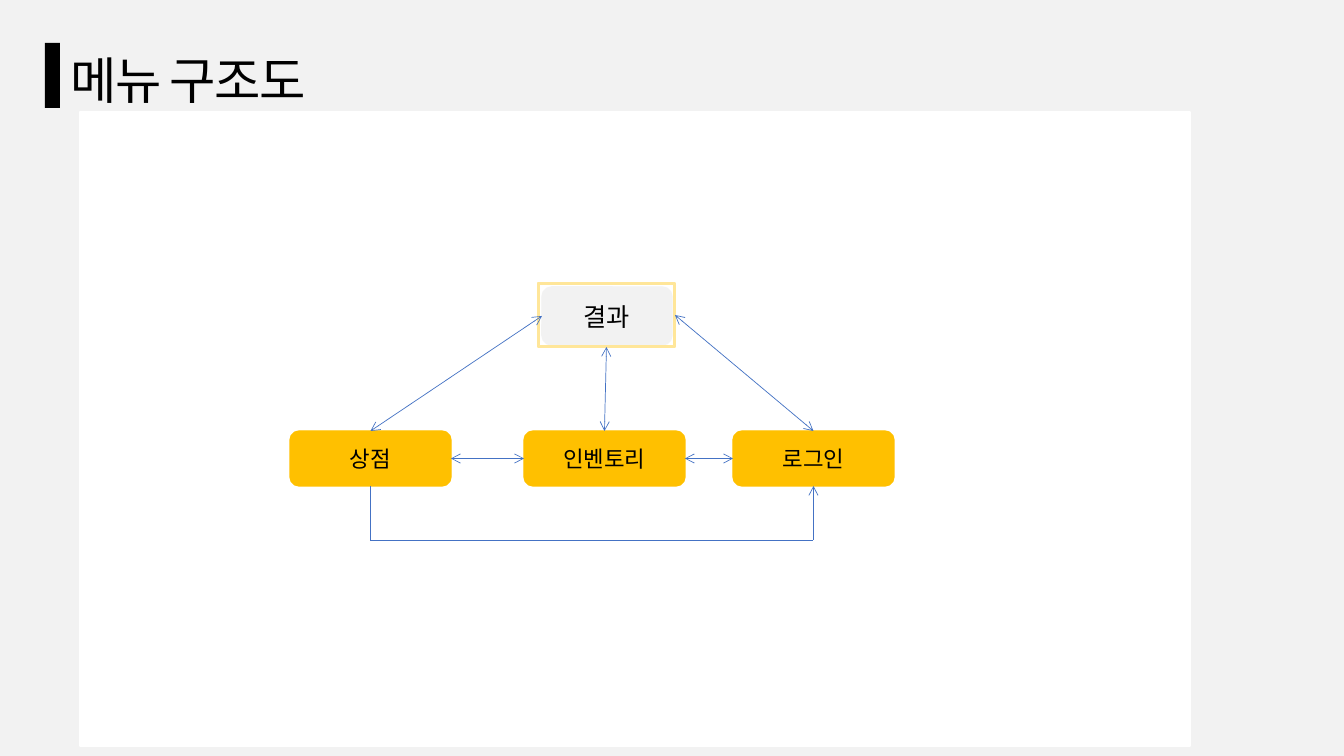
from itertools import pairwise

from lxml import etree
from pptx import Presentation
from pptx.dml.color import RGBColor
from pptx.enum.shapes import MSO_CONNECTOR, MSO_SHAPE
from pptx.enum.text import MSO_ANCHOR, MSO_AUTO_SIZE, PP_ALIGN
from pptx.oxml.ns import qn
from pptx.util import Pt

PANEL, BUTTON = MSO_SHAPE.FLOWCHART_PROCESS, MSO_SHAPE.FLOWCHART_ALTERNATE_PROCESS
ROUNDED, FRAME, BAR = MSO_SHAPE.ROUNDED_RECTANGLE, MSO_SHAPE.FRAME, MSO_SHAPE.RECTANGLE
STRAIGHT = MSO_CONNECTOR.STRAIGHT
CENTER, LEFT_ALIGNED = PP_ALIGN.CENTER, PP_ALIGN.LEFT
TOP_ANCHOR, MIDDLE = MSO_ANCHOR.TOP, MSO_ANCHOR.MIDDLE
NO_FIT = MSO_AUTO_SIZE.NONE
TOP, LEFT, BOTTOM, RIGHT = range(4)  # connection sites

THEME = {
    "font": "Noto Sans CJK KR",
    "background": "F2F2F2", "panel": "FFFFFF", "text": "000000",
    "result": "F2F2F2", "highlight": "FFE699", "button": "FFC000", "link": "4472C4",
    "title_size": 36, "result_size": 18, "button_size": 16,
    "outline_width": 1, "link_width": 0.5,
}

# Content; all lengths are pixels
TITLE = "메뉴 구조도"
RESULT = "결과"
MENU = {"상점": 290, "인벤토리": 524, "로그인": 733}  # label: left edge
BUTTON_TOP, BUTTON_WIDTH, BUTTON_HEIGHT = 431, 161, 55
RETURN_DROP = 54
LINKS = [
    (RESULT, LEFT, "상점", TOP),
    ("frame", BOTTOM, "인벤토리", TOP),
    ("frame", RIGHT, "로그인", TOP),
    ("인벤토리", RIGHT, "로그인", LEFT),
    ("상점", RIGHT, "인벤토리", LEFT),
]

SLIDE_WIDTH, SLIDE_HEIGHT = 1344, 756
EMU_PER_PIXEL = 12192000 / SLIDE_WIDTH


def px(*lengths):
    """Turn pixels into EMU."""
    return [round(length * EMU_PER_PIXEL) for length in lengths]


def color(role):
    """Look up a theme colour."""
    return RGBColor.from_string(THEME[role])


def write(frame, words, size, align, anchor):
    """Fill a text frame with one formatted paragraph and return its font."""
    frame.text = words
    frame.word_wrap = True
    frame.auto_size = NO_FIT
    frame.vertical_anchor = anchor
    paragraph = frame.paragraphs[0]
    paragraph.alignment = align
    font = paragraph.font
    font.name, font.size = THEME["font"], Pt(THEME[size])
    font.color.rgb = color("text")
    properties = paragraph._p.pPr.find(qn("a:defRPr"))
    east_asian = etree.Element(qn("a:ea"), typeface=THEME["font"])
    properties.find(qn("a:latin")).addnext(east_asian)
    return properties


def add_box(slide, kind, box, fill, outlined=True):
    """Add a flat shape whose outline matches its fill."""
    shape = slide.shapes.add_shape(kind, *px(*box))
    shape.shadow.inherit = False
    shape.fill.solid()
    shape.fill.fore_color.rgb = color(fill)
    if outlined:
        shape.line.color.rgb = color(fill)
        shape.line.width = Pt(THEME["outline_width"])
    else:
        shape.line.fill.background()
    return shape


def add_link(slide, start, end, arrows=()):
    """Add a thin line between two EMU points with the given arrow ends."""
    link = slide.shapes.add_connector(STRAIGHT, *start, *end)
    link.line.color.rgb = color("link")
    link.line.width = Pt(THEME["link_width"])
    for arrow in arrows:
        etree.SubElement(link.line._get_or_add_ln(), qn(f"a:{arrow}"), type="arrow")
    etree.SubElement(link._element.spPr, qn("a:effectLst"))
    return link


def add_title(slide):
    """Place the slide title and the bar beside it."""
    add_box(slide, BAR, (45, 43, 15, 65), "text", outlined=False)
    title = slide.shapes.title
    title.left, title.top, title.width, title.height = px(60, 38, 983, 70)
    properties = write(title.text_frame, TITLE, "title_size", LEFT_ALIGNED, TOP_ANCHOR)
    properties.set("spc", "-100")
    title.text_frame.paragraphs[0].line_spacing = 1.1


def add_menu(slide):
    """Add the result and menu boxes, and return them by name."""
    result = add_box(slide, ROUNDED, (542, 287, 130, 58), "result")
    write(result.text_frame, RESULT, "result_size", CENTER, MIDDLE)
    frame = add_box(slide, FRAME, (538, 283, 137, 64), "highlight")
    frame.adjustments[0] = 0.02
    boxes = {RESULT: result, "frame": frame}
    for label, left in MENU.items():
        place = (left, BUTTON_TOP, BUTTON_WIDTH, BUTTON_HEIGHT)
        boxes[label] = add_box(slide, BUTTON, place, "button")
        write(boxes[label].text_frame, label, "button_size", CENTER, MIDDLE)
    return boxes


def add_links(slide, boxes):
    """Join the boxes both ways, then draw the return path under the row."""
    for source, source_site, target, target_site in LINKS:
        link = add_link(slide, (0, 0), (0, 0), ("headEnd", "tailEnd"))
        link.begin_connect(boxes[source], source_site)
        link.end_connect(boxes[target], target_site)

    centers = [left + BUTTON_WIDTH / 2 for left in MENU.values()]
    first, last = centers[0], centers[-1]
    bottom = BUTTON_TOP + BUTTON_HEIGHT
    low = bottom + RETURN_DROP
    corners = [(first, bottom), (first, low), (last, low), (last, bottom)]
    for start, end in pairwise(corners):
        arrows = ("tailEnd",) if end == corners[-1] else ()
        add_link(slide, px(*start), px(*end), arrows)


presentation = Presentation()
presentation.slide_width, presentation.slide_height = px(SLIDE_WIDTH, SLIDE_HEIGHT)
menu_slide = presentation.slides.add_slide(presentation.slide_layouts[5])
menu_slide.background.fill.solid()
menu_slide.background.fill.fore_color.rgb = color("background")
add_box(menu_slide, PANEL, (80, 112, 1110, 634), "panel")
add_title(menu_slide)
add_links(menu_slide, add_menu(menu_slide))
presentation.save("out.pptx")
